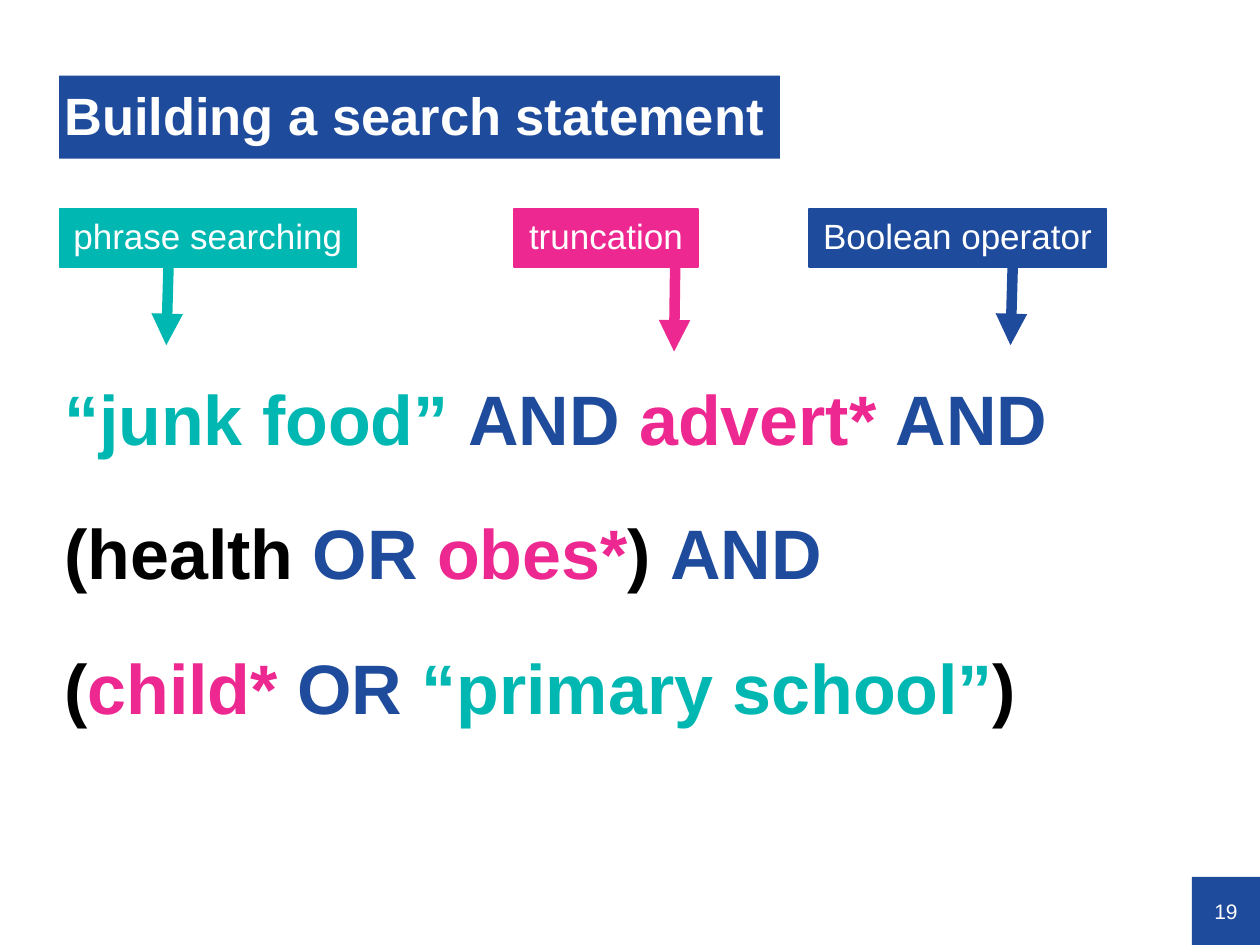
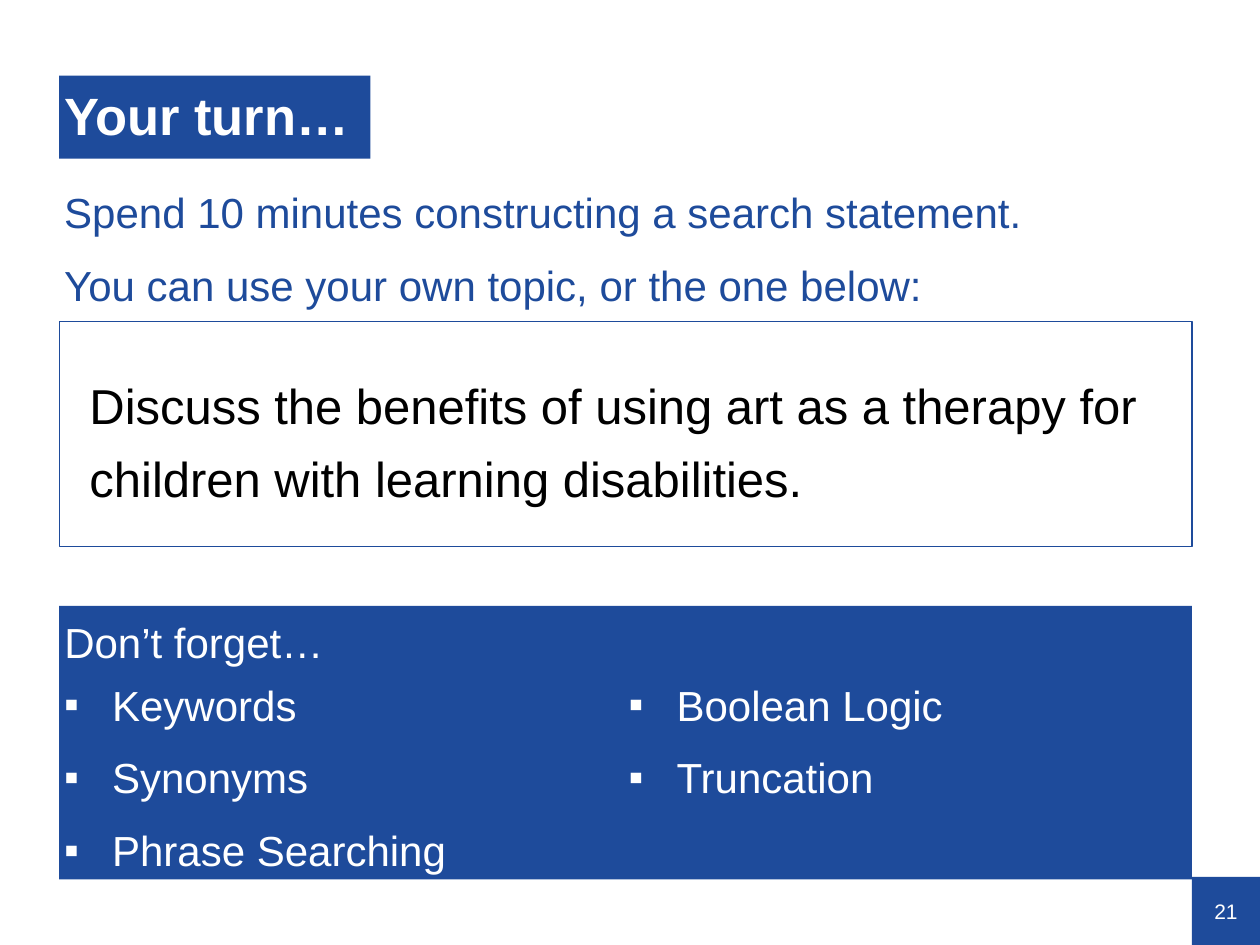
"""Builds two slides on putting together a search statement."""
from lxml import etree
from pptx import Presentation, util as u
from pptx.dml.color import RGBColor
from pptx.enum import shapes, text
from pptx.oxml.ns import qn

FONT = "Arial"
HUE = dict(blue="1E4B9B", teal="00B7B2", pink="ED2891", white="FFFFFF", black="000000")
WIDE, HIGH = 10, 7.5
LEFT, SPAN, FOOT = 0.47, 8.99, 0.54

TITLES = [("Building a search statement", 5.72, "19"), ("Your turn…", 2.47, "21")]
LABELS = [
    ("phrase searching", "teal", LEFT, 2.36, (1.35, 1.66, 1.32, 2.74)),
    ("truncation", "pink", 4.08, 1.46, (5.36, 2.01, 5.35, 2.79)),
    ("Boolean operator", "blue", 6.42, 2.36, (8.05, 1.66, 8.02, 2.74)),
]
QUERY = [
    ("“junk food” ", "teal"), ("AND ", "blue"), ("advert* ", "pink"), ("AND", "blue"),
    (" (health ", "black"), ("OR ", "blue"), ("obes*", "pink"), (") ", "black"),
    ("AND", "blue"), (" (", "black"), ("child* ", "pink"), ("OR ", "blue"),
    ("“primary school”", "teal"), (")", "black"),
]
TASK = ["Spend 10 minutes constructing a search statement.",
        "You can use your own topic, or the one below:"]
TOPIC = "Discuss the benefits of using art as a therapy for children with learning disabilities."
HINT = "Don’t forget…"
TIPS = ["Keywords", "Synonyms", "Phrase Searching", "Boolean Logic", "Truncation"]


def tint(name):
    return RGBColor.from_string(HUE[name])


def write(slide, words, at, fill=None, edge=None, size=24, hue="white", bold=False,
          pad=(0.04,) * 4, mid=False, align="LEFT", lead=1.1, gap=10, mark=None, cols=1):
    """Puts words, a string or a list of paragraphs, in a box; a paragraph may list (text, hue) runs."""
    at = [u.Inches(n) for n in at]
    if fill:
        box = slide.shapes.add_shape(shapes.MSO_SHAPE.RECTANGLE, *at)
        box.shadow.inherit = False
        box.fill.solid()
        box.fill.fore_color.rgb = tint(fill)
        if edge:
            box.line.color.rgb, box.line.width = tint(edge), u.Pt(0.75)
        else:
            box.line.fill.background()
    else:
        box = slide.shapes.add_textbox(*at)
    frame = box.text_frame
    frame.word_wrap = True
    frame.vertical_anchor = text.MSO_ANCHOR.MIDDLE if mid else text.MSO_ANCHOR.TOP
    (frame.margin_left, frame.margin_top,
     frame.margin_right, frame.margin_bottom) = [u.Inches(n) for n in pad]
    if cols > 1:
        frame._txBody.bodyPr.set("numCol", str(cols))
    for i, part in enumerate([words] if isinstance(words, str) else words):
        para = frame.paragraphs[0] if i == 0 else frame.add_paragraph()
        para.alignment = getattr(text.PP_ALIGN, align)
        para.line_spacing, para.space_before = lead, u.Pt(gap)
        if mark:
            props = para._p.get_or_add_pPr()
            dent = u.Inches(0.38)
            props.set("marL", str(dent))
            props.set("indent", str(-dent))
            etree.SubElement(props, qn("a:buFont"), typeface=FONT)
            etree.SubElement(props, qn("a:buChar"), char=mark)
        for bit, shade in [(part, hue)] if isinstance(part, str) else part:
            run = para.add_run()
            run.text = bit
            font = run.font
            font.name, font.size, font.bold = FONT, u.Pt(size), bold
            font.color.rgb = tint(shade)


def arrow(slide, ends, hue):
    line = slide.shapes.add_connector(
        shapes.MSO_CONNECTOR.STRAIGHT, *[u.Inches(n) for n in ends])
    line.line.color.rgb, line.line.width = tint(hue), u.Pt(6)
    etree.SubElement(line.line._get_or_add_ln(), qn("a:tailEnd"), type="triangle")
    etree.SubElement(line._element.spPr, qn("a:effectLst"))


def start(deck, title, width, page):
    slide = deck.slides.add_slide(deck.slide_layouts[6])
    write(slide, page, (WIDE - FOOT, HIGH - FOOT, FOOT, FOOT), fill="blue", size=12,
          pad=(0,) * 4, mid=True, align="CENTER", lead=1, gap=0)
    write(slide, title, (LEFT, 0.6, width, 0.66), fill="blue", size=30, bold=True,
          pad=(0.04, 0.02, 0, 0), mid=True, lead=0.9, gap=0)
    return slide


def main():
    deck = Presentation()
    deck.slide_width, deck.slide_height = u.Inches(WIDE), u.Inches(HIGH)
    build, turn = [start(deck, *row) for row in TITLES]

    write(build, [QUERY], (LEFT, 2.54, 7.92, 4.28), size=40, bold=True, lead=1.6)
    for name, hue, x, width, ends in LABELS:
        arrow(build, ends, hue)
        write(build, name, (x, 1.66, width, 0.46), fill=hue, edge=hue, size=20,
              pad=(0.08,) * 4, mid=True, align="CENTER", lead=0.9)

    write(turn, HINT, (LEFT, 4.81, SPAN, 2.17), fill="blue")
    write(turn, TIPS, (LEFT, 5.31, 9.04, 1.8), mark="▪", cols=2)
    write(turn, TOPIC, (LEFT, 2.55, SPAN, 1.79), fill="white", edge="blue", size=28,
          hue="black", pad=(0.24,) * 4, mid=True, lead=1.25)
    write(turn, TASK, (LEFT, 1.4, 9.04, 0.99), hue="blue")
    deck.save("out.pptx")


if __name__ == "__main__":
    main()
